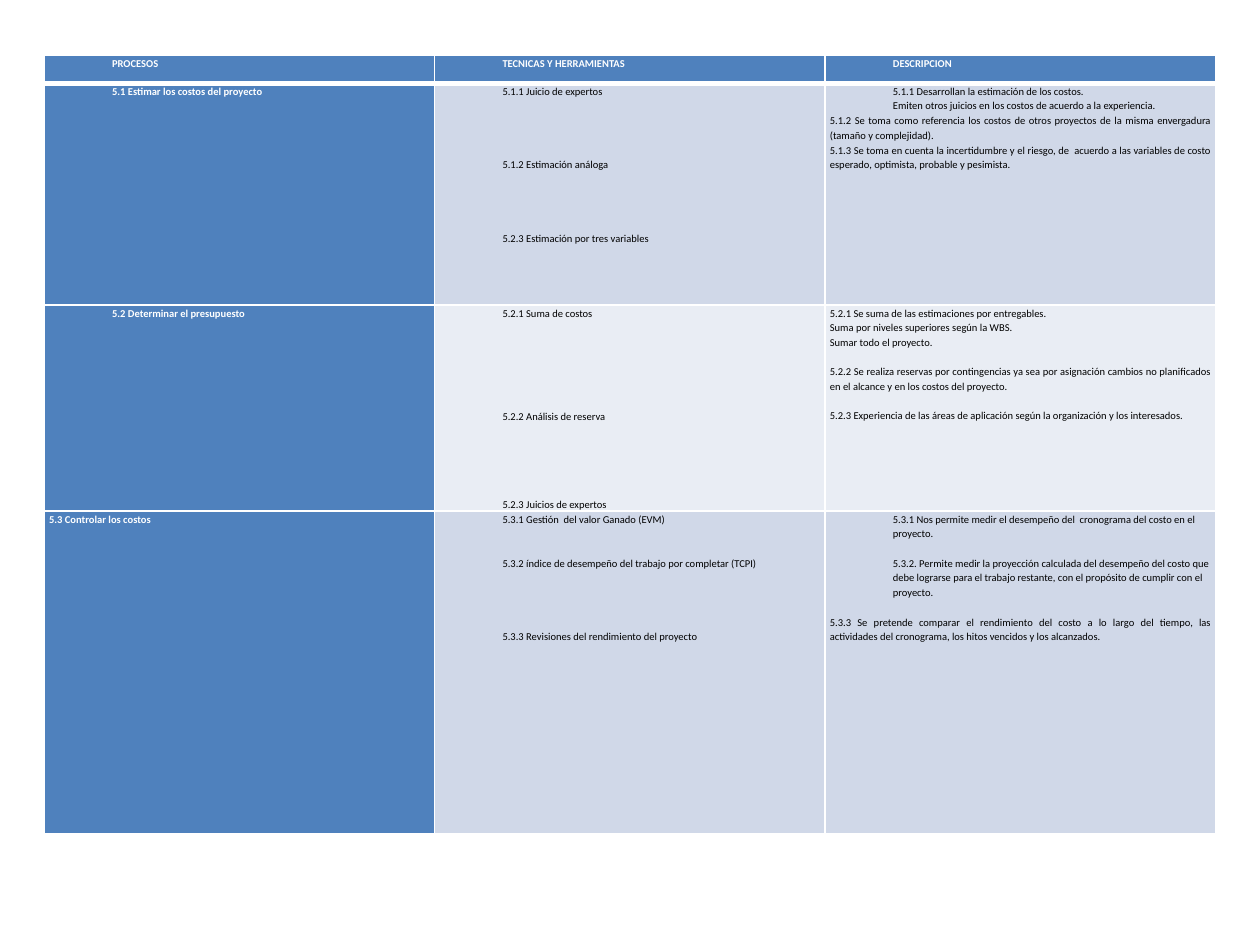
from dataclasses import dataclass

from lxml import etree
from pptx import Presentation
from pptx import util as u
from pptx.dml import color
from pptx.enum import text
from pptx.oxml import ns


@dataclass(frozen=True)
class Theme:
    font: str = "Calibri"
    size: float = 6
    line_spacing: float = 1.15
    line_pitch: float = 8.42
    accent: str = "4F81BD"
    dark_band: str = "D0D8E8"
    light_band: str = "E9EDF4"
    white: str = "FFFFFF"
    black: str = "000000"
    thin: float = 1
    thick: float = 3


theme = Theme()
INDENT = u.Cm(1.27)
LEFT, JUSTIFIED = text.PP_ALIGN.LEFT, text.PP_ALIGN.JUSTIFY


def add_border(cell, side, width):
    line = etree.SubElement(cell._tc.get_or_add_tcPr(), ns.qn(f"a:{side}"), w=str(u.Pt(width)))
    fill = etree.SubElement(line, ns.qn("a:solidFill"))
    etree.SubElement(fill, ns.qn("a:srgbClr"), val=theme.white)


def entry(words, lines_before=0, indent=INDENT, align=LEFT):
    return words, lines_before, indent, align


rows = [
    [[entry("PROCESOS")], [entry("TECNICAS Y HERRAMIENTAS")], [entry("DESCRIPCION")]],
    [
        [entry("5.1 Estimar los costos del proyecto")],
        [
            entry("5.1.1 Juicio de expertos"),
            entry("5.1.2 Estimación análoga", 4),
            entry("5.2.3 Estimación por tres variables", 4),
        ],
        [
            entry("5.1.1 Desarrollan la estimación de los costos.", align=JUSTIFIED),
            entry("Emiten otros juicios en los costos de acuerdo a la experiencia.", align=JUSTIFIED),
            entry("5.1.2 Se toma como referencia los costos de otros proyectos de la misma "
                  "envergadura (tamaño y complejidad).", 0, 0, JUSTIFIED),
            entry("5.1.3 Se toma en cuenta la incertidumbre y el riesgo, de  acuerdo a las variables "
                  "de costo esperado, optimista, probable y pesimista.", 0, 0, JUSTIFIED),
        ],
    ],
    [
        [entry("5.2 Determinar el presupuesto")],
        [
            entry("5.2.1 Suma de costos"),
            entry("5.2.2 Análisis de reserva", 6),
            entry("5.2.3 Juicios de expertos", 5),
        ],
        [
            entry("5.2.1 Se suma de las estimaciones por entregables.", 0, 0, JUSTIFIED),
            entry("Suma por niveles superiores según la WBS.", 0, 0, JUSTIFIED),
            entry("Sumar todo el proyecto.", 0, 0, JUSTIFIED),
            entry("5.2.2 Se realiza reservas por contingencias ya sea por asignación cambios no "
                  "planificados en el alcance y en los costos del proyecto.", 1, 0, JUSTIFIED),
            entry("5.2.3 Experiencia de las áreas de aplicación según la organización y los "
                  "interesados.", 1, 0, JUSTIFIED),
        ],
    ],
    [
        [entry("5.3 Controlar los costos", indent=0)],
        [
            entry("5.3.1 Gestión  del valor Ganado (EVM)"),
            entry("5.3.2 índice de desempeño del trabajo por completar (TCPI)", 2),
            entry("5.3.3 Revisiones del rendimiento del proyecto", 4),
        ],
        [
            entry("5.3.1 Nos permite medir el desempeño del  cronograma del costo en el proyecto."),
            entry("5.3.2. Permite medir la proyección calculada del desempeño del costo que debe "
                  "lograrse para el trabajo restante, con el propósito de cumplir con el proyecto.", 1),
            entry("5.3.3 Se pretende comparar el rendimiento del costo a lo largo del tiempo, las "
                  "actividades del cronograma, los hitos vencidos y los alcanzados.", 1, 0, JUSTIFIED),
        ],
    ],
]
row_heights = [0.56, 4.47, 4.09, 6.5]

deck = Presentation()
deck.slide_width, deck.slide_height = u.Cm(25.4), u.Cm(19.05)
page = deck.slides.add_slide(deck.slide_layouts[6])
frame = page.shapes.add_table(len(rows), 3, u.Cm(0.89), u.Cm(1.12), u.Cm(23.61), u.Cm(sum(row_heights)))
table = frame.table
for column in table.columns:
    column.width = u.Cm(7.87)

for row_index, (row, height) in enumerate(zip(rows, row_heights)):
    table.rows[row_index].height = u.Cm(height)
    band = theme.dark_band if row_index % 2 else theme.light_band
    for column_index, entries in enumerate(row):
        emphasised = row_index == 0 or column_index == 0
        cell = table.cell(row_index, column_index)
        cell.margin_left = cell.margin_right = u.Cm(0.1)
        cell.margin_top = cell.margin_bottom = 0
        add_border(cell, "lnL", theme.thin)
        add_border(cell, "lnR", theme.thin)
        add_border(cell, "lnT", theme.thick if row_index == 1 else theme.thin)
        add_border(cell, "lnB", theme.thick if row_index == 0 else theme.thin)
        cell.fill.solid()
        cell.fill.fore_color.rgb = color.RGBColor.from_string(theme.accent if emphasised else band)

        cell.text_frame.text = "\n".join(words for words, *_ in entries)
        for para, (_, lines_before, indent, align) in zip(cell.text_frame.paragraphs, entries):
            para.alignment = align
            para.line_spacing = theme.line_spacing
            para.space_before = u.Pt(lines_before * theme.line_pitch)
            para._p.get_or_add_pPr().set("marL", str(indent))
            for span in para.runs:
                span.font.name = theme.font
                span.font.size = u.Pt(theme.size)
                span.font.bold = emphasised
                span.font.color.rgb = color.RGBColor.from_string(theme.white if emphasised else theme.black)

deck.save("out.pptx")
